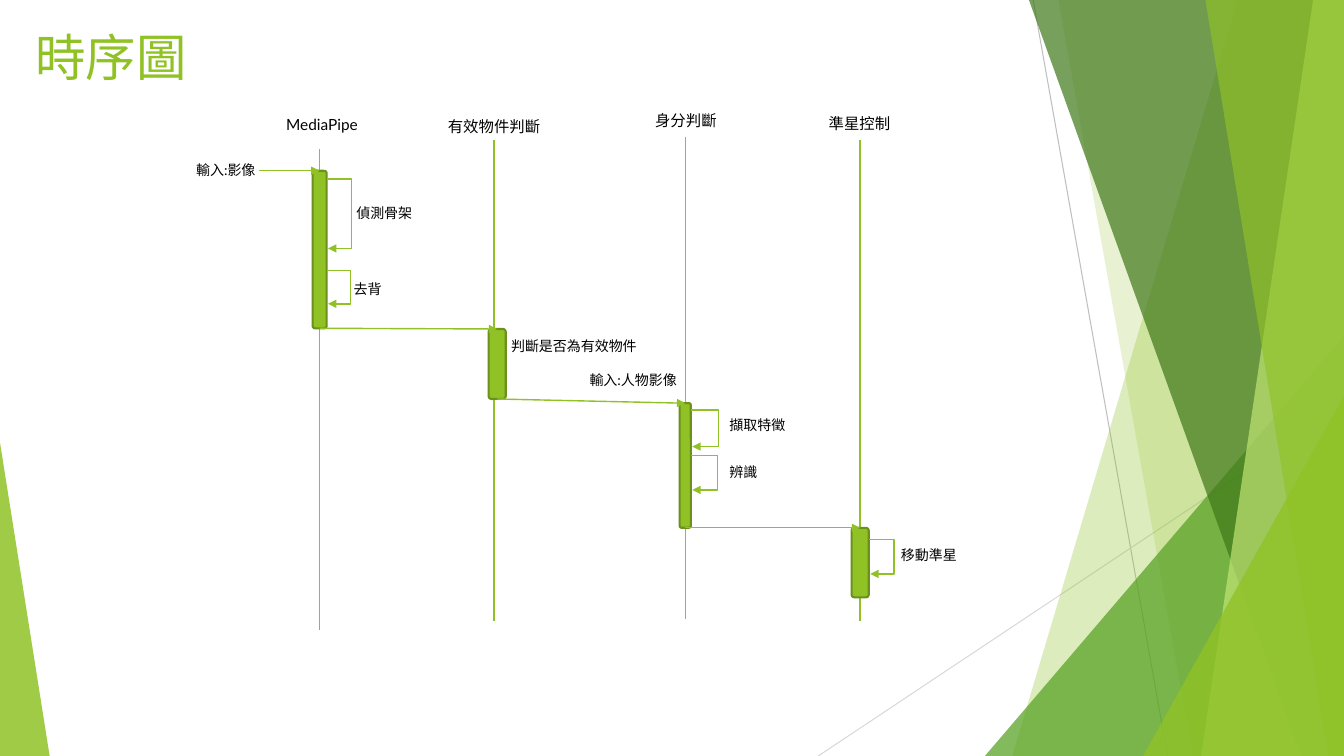
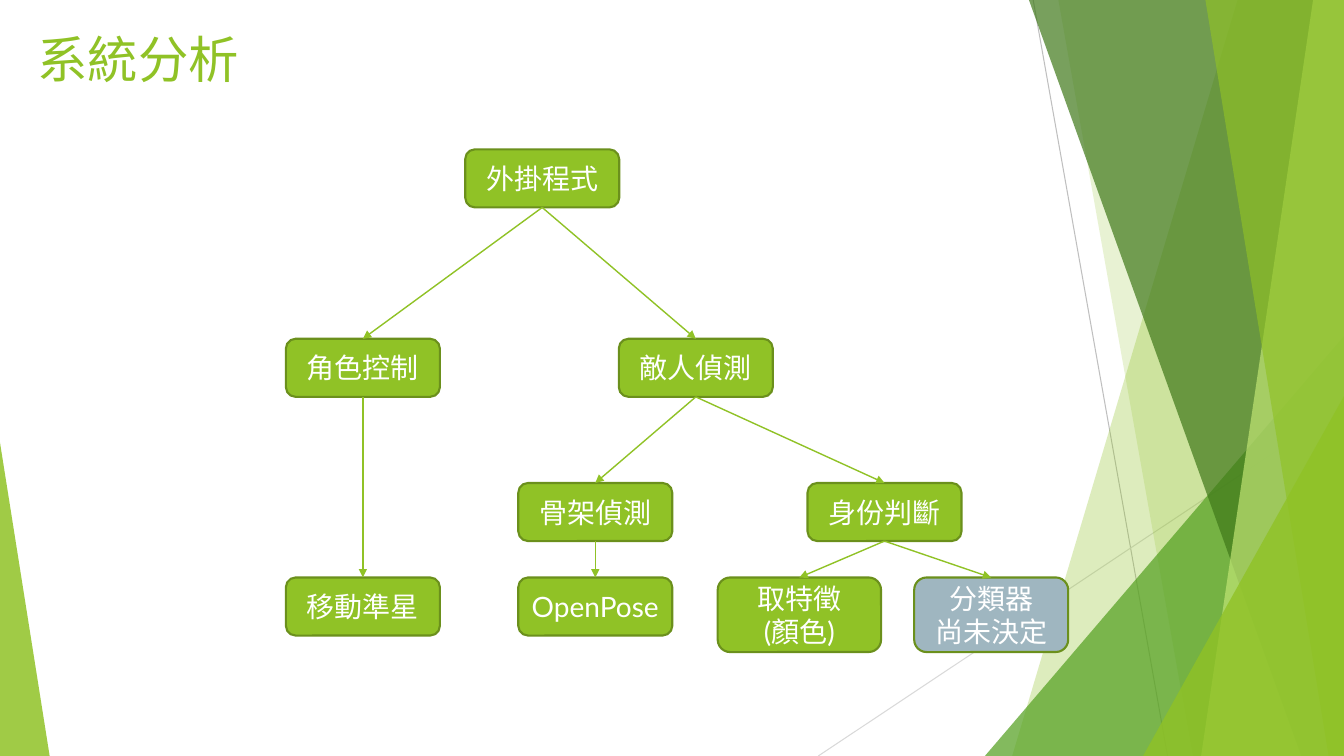
from lxml.etree import SubElement
from pptx import Presentation
from pptx.dml.color import RGBColor
from pptx.enum.shapes import MSO_CONNECTOR as Link, MSO_SHAPE as Kind
from pptx.enum.text import MSO_ANCHOR as Anchor, MSO_AUTO_SIZE as Size, PP_ALIGN as Align
from pptx.oxml.ns import qn
from pptx.util import Pt

WIDE, HIGH = 960, 540
FONT = "Lato"
LIME, EDGE, LEAF, MOSS, PALE = "90C226", "6B901C", "54A021", "3F7819", "C0E474"
GREY, MIST, SLATE = "BFBFBF", "D9D9D9", "9FB6C0"
BLACK, WHITE = "000000", "FFFFFF"
TOP, BOTTOM = 0, 2


def pts(*nums):
    return [Pt(n) for n in nums]


def style(obj, **values):
    for name, value in values.items():
        setattr(obj, name, value)


def paint(fill, code):
    fill.solid()
    fill.fore_color.rgb = RGBColor.from_string(code)


def write(frame, text, size, code, align=Align.LEFT, anchor=Anchor.TOP):
    style(frame, text=text, word_wrap=True, auto_size=Size.NONE,
          vertical_anchor=anchor)
    for para in frame.paragraphs:
        para.alignment = align
        style(para.font, name=FONT, size=Pt(size))
        paint(para.font.fill, code)


def label(slide, text, left, top, width, size=10, align=Align.LEFT):
    box = slide.shapes.add_textbox(*pts(left, top, width, 20))
    write(box.text_frame, text, size, BLACK, align)


def block(slide, left, top, width, height, code=LIME):
    shape = slide.shapes.add_shape(Kind.ROUNDED_RECTANGLE,
                                   *pts(left, top, width, height))
    shape.shadow.inherit = False
    paint(shape.fill, code)
    paint(shape.line.fill, EDGE)
    shape.line.width = Pt(1.5)
    return shape


def draw(slide, start, end, code=LIME, width=1, arrow=False, kind=Link.STRAIGHT):
    line = slide.shapes.add_connector(kind, *pts(*start, *end))
    paint(line.line.fill, code)
    line.line.width = Pt(width)
    props = line.element.spPr
    if arrow:
        SubElement(props.find(qn("a:ln")), qn("a:tailEnd"), type="triangle")
    SubElement(props, qn("a:effectLst"))
    return line


def join(slide, upper, lower):
    """Arrow from the bottom of one block to the top of another."""
    line = draw(slide, (0, 0), (1, 1), arrow=True)
    line.begin_connect(upper, BOTTOM)
    line.end_connect(lower, TOP)


def loop(slide, bar, top, bottom, bulge):
    """Arrow that leaves the right side of a bar and returns to it."""
    side = bar.left.pt + bar.width.pt
    line = draw(slide, (side, top), (side + 1, bottom), arrow=True, kind=Link.ELBOW)
    guides = line.element.spPr.find(qn("a:prstGeom")).get_or_add_avLst()
    SubElement(guides, qn("a:gd"), name="adj1", fmla=f"val {bulge * 100000}")


def panel(slide, upper, lower, code, alpha):
    """Full-height panel from a slanted left side to the slide's right edge."""
    pen = slide.shapes.build_freeform(*pts(upper, 0), scale=1.0)
    pen.add_line_segments([pts(WIDE, 0), pts(WIDE, HIGH), pts(lower, HIGH)])
    finish(pen.convert_to_shape(), code, alpha)


def wedge(slide, left, top, width, peak, code, alpha):
    """Triangle that stands on the slide's bottom edge."""
    shape = slide.shapes.add_shape(Kind.ISOSCELES_TRIANGLE,
                                   *pts(left, top, width, HIGH - top))
    shape.adjustments[0] = peak
    finish(shape, code, alpha)


def finish(shape, code, alpha):
    """Fill without a line, at alpha percent opacity."""
    shape.shadow.inherit = False
    shape.line.fill.background()
    paint(shape.fill, code)
    tint = shape.element.spPr.find(qn("a:solidFill")).find(qn("a:srgbClr"))
    SubElement(tint, qn("a:alpha"), val=str(alpha * 1000))


def backdrop(slide):
    draw(slide, (738, 0), (834, HIGH), GREY, 0.75)
    draw(slide, (WIDE, 290), (584.5, HIGH), MIST, 0.75)
    panel(slide, 884, 723, LIME, 30)
    panel(slide, 756, 852, LIME, 20)
    wedge(slide, 703.5, 240, 256.5, 1, LEAF, 72)
    panel(slide, 735, 929.5, MOSS, 70)
    panel(slide, 938, 858, PALE, 70)
    panel(slide, 861, 949, LIME, 65)
    wedge(slide, 816.5, 283, 143.5, 1, LIME, 80)
    wedge(slide, 0, 316, 35.5, 0, LIME, 85)


def start(deck, text, left, top, width):
    """New slide with backdrop and title."""
    slide = deck.slides.add_slide(deck.slide_layouts[5])
    backdrop(slide)
    title = slide.shapes.title
    style(title, left=Pt(left), top=Pt(top), width=Pt(width), height=Pt(55))
    write(title.text_frame, text, 36, LIME, anchor=Anchor.MIDDLE)
    return slide


def sequence(deck):
    slide = start(deck, "時序圖", 18, 13, 677)
    lanes = [("MediaPipe", 230, 79, 228.3, 106.5, 450),
             ("有效物件判斷", 353, 80, 353, 100, 443.5),
             ("身分判斷", 490, 76, 489.5, 98, 442),
             ("準星控制", 614, 78, 614.3, 100, 443.5)]
    for text, mid, top, axis, head, foot in lanes:
        label(slide, text, mid - 48.5, top, 97, 11, Align.CENTER)
        draw(slide, (axis, head), (axis, foot))

    spans = [(223.3, 122, 10, 112.5), (349, 235, 12.3, 50),
             (485.5, 288, 8, 89), (608.3, 377, 12.3, 49.7)]
    bars = [block(slide, *span) for span in spans]
    draw(slide, (185, 122), (228.3, 122), arrow=True).end_connect(bars[0], TOP)
    for upper, lower in zip(bars, bars[1:]):
        join(slide, upper, lower)

    media, _, person, aim = bars
    for bar, top, bottom, bulge in [
            (media, 128, 177.5, 18), (media, 193, 217, 17),
            (person, 293, 319, 20), (person, 325.5, 350, 19),
            (aim, 385.5, 410, 18)]:
        loop(slide, bar, top, bottom, bulge)

    for note in [("輸入:影像", 133, 111.5, 60), ("偵測骨架", 247.5, 142.5, 58),
                 ("去背", 245.5, 197, 36), ("判斷是否為有效物件", 358, 237.5, 107),
                 ("輸入:人物影像", 414, 262, 84), ("擷取特徵", 514, 294, 64),
                 ("辨識", 514, 327.5, 64), ("移動準星", 636.5, 386.5, 64)]:
        label(slide, *note)


def tree(deck):
    slide = start(deck, "系統分析", 19.5, 14, 206)

    def node(text, mid, top, width=110, height=41.5, code=LIME):
        shape = block(slide, mid - width / 2, top, width, height, code)
        write(shape.text_frame, text, 20, WHITE, Align.CENTER, Anchor.MIDDLE)
        return shape

    root = node("外掛程式", 387.3, 106.7)
    role = node("角色控制", 259.2, 242)
    enemy = node("敵人偵測", 497, 242)
    bones = node("骨架偵測", 425.2, 345)
    person = node("身份判斷", 631.8, 345)
    aim = node("移動準星", 259.2, 412.5)
    pose = node("OpenPose", 425.2, 412.5)
    trait = node("取特徵\n(顏色)", 571, 412.5, 116.7, 53.3)
    sorter = node("分類器\n尚未決定", 708, 412.5, height=53.3, code=SLATE)
    for upper, lower in [(root, role), (root, enemy), (role, aim),
                         (enemy, bones), (enemy, person), (bones, pose),
                         (person, trait), (person, sorter)]:
        join(slide, upper, lower)


def main():
    deck = Presentation()
    style(deck, slide_width=Pt(WIDE), slide_height=Pt(HIGH))
    sequence(deck)
    tree(deck)
    deck.save("out.pptx")


if __name__ == "__main__":
    main()
